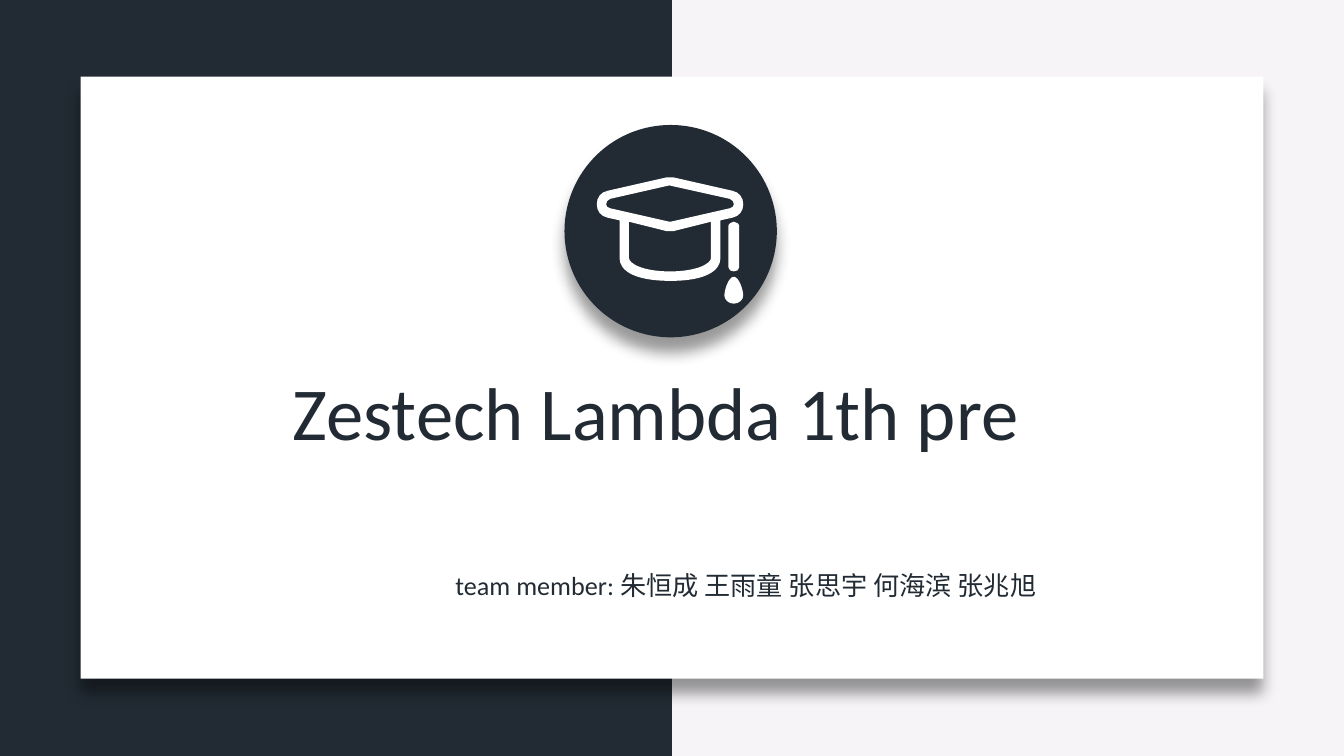
from lxml.etree import SubElement
from pptx import Presentation
from pptx.dml.color import RGBColor
from pptx.enum.shapes import MSO_SHAPE
from pptx.enum.text import MSO_AUTO_SIZE
from pptx.oxml.ns import qn
from pptx.util import Inches, Pt

COLORS = {"ink": "222B34", "paper": "FFFFFF", "backdrop": "F6F4F7", "shadow": "000000"}
SHADOW = {"blurRad": Pt(8), "dist": Pt(8), "dir": 90 * 60000, "algn": "t", "rotWithShape": 0}

CAP_MIRROR = 9.97
CAP_HALVES = [
    [(4.99, 1.65), (4.98, 1.65), (4.54, 1.55),
     (4.52, 1.55, 4.51, 1.53, 4.51, 1.52), (4.51, 1.5, 4.52, 1.49, 4.54, 1.48),
     (4.98, 1.38)],
    [(4.99, 2.02), (4.78, 2.02, 4.68, 1.96, 4.68, 1.92), (4.68, 1.65), (4.96, 1.72),
     (4.97, 1.72, 4.98, 1.72, 4.99, 1.72)],
    [(4.99, 1.32), (4.98, 1.32, 4.97, 1.32, 4.96, 1.32), (4.52, 1.42),
     (4.47, 1.43, 4.44, 1.47, 4.44, 1.52), (4.44, 1.57, 4.47, 1.61, 4.52, 1.62),
     (4.61, 1.64), (4.61, 1.92), (4.61, 2.01, 4.71, 2.09, 4.99, 2.09)],
]
TASSEL_MIRROR = 10.92
CORD_HALVES = [
    [(5.46, 1.65), (5.44, 1.65, 5.42, 1.67, 5.42, 1.68), (5.42, 1.99),
     (5.42, 2.01, 5.44, 2.02, 5.46, 2.02)],
]
DROP_HALVES = [
    [(5.46, 2.06), (5.42, 2.06, 5.39, 2.16, 5.39, 2.2),
     (5.39, 2.23, 5.42, 2.26, 5.46, 2.26)],
]


def color(name):
    return RGBColor.from_string(COLORS[name])


def paint(shape, fill):
    shape.fill.solid()
    shape.fill.fore_color.rgb = color(fill)
    shape.line.fill.background()
    shape.shadow.inherit = False


def add_panel(shapes, kind, box, fill):
    panel = shapes.add_shape(kind, *map(Inches, box))
    paint(panel, fill)
    return panel


def cast_shadow(shape):
    effects = shape._element.spPr.find(qn("a:effectLst"))
    outer = SubElement(effects, qn("a:outerShdw"))
    for key, value in SHADOW.items():
        outer.set(key, str(value))
    tint = SubElement(outer, qn("a:srgbClr"), val=COLORS["shadow"])
    SubElement(tint, qn("a:alpha"), val="40000")


def symmetric_contour(half, mirror):
    points = [segment[i:i + 2] for segment in half for i in range(0, len(segment), 2)]
    points += [(mirror - x, y) for x, y in points[-2::-1]]
    counts = [len(segment) // 2 for segment in half[1:]]
    return [(Inches(x), Inches(y)) for x, y in points], counts + counts[::-1]


def bend_lines(outline, counts):
    lines = iter(list(outline._element.iter(qn("a:lnTo"))))
    for count in counts:
        segment = [next(lines) for _ in range(count)]
        if count == 3:
            segment[0].tag = qn("a:cubicBezTo")
            for line in segment[1:]:
                segment[0].append(line[0])
                line.getparent().remove(line)


def add_symmetric_outline(shapes, halves, mirror, fill):
    contours = [symmetric_contour(half, mirror) for half in halves]
    builder = shapes.build_freeform(*contours[0][0][0], scale=1.0)
    for index, (points, _) in enumerate(contours):
        if index:
            builder.move_to(*points[0])
        builder.add_line_segments(points[1:], close=False)
    outline = builder.convert_to_shape()
    bend_lines(outline, [count for _, counts in contours for count in counts])
    paint(outline, fill)


def add_label(slide, box, text, size):
    frame = slide.shapes.add_textbox(*map(Inches, box)).text_frame
    for key, value in {"word_wrap": False, "auto_size": MSO_AUTO_SIZE.SHAPE_TO_FIT_TEXT}.items():
        setattr(frame, key, value)
    run = frame.paragraphs[0].add_run()
    run.text = text
    for key, value in {"size": Pt(size), "name": "Calibri"}.items():
        setattr(run.font, key, value)
    run.font.color.rgb = color("ink")


def add_graduation_badge(slide):
    badge = slide.shapes.add_group_shape().shapes
    cast_shadow(add_panel(badge, MSO_SHAPE.OVAL, (4.2, 0.93, 1.58, 1.58), "ink"))
    add_symmetric_outline(badge, CAP_HALVES, CAP_MIRROR, "paper")
    for halves in (CORD_HALVES, DROP_HALVES):
        add_symmetric_outline(badge, halves, TASSEL_MIRROR, "paper")


def main():
    deck = Presentation()
    deck.slide_width = Inches(10)
    deck.slide_height = Inches(10 * 9 / 16)
    slide = deck.slides.add_slide(deck.slide_layouts[6])
    slide.background.fill.solid()
    slide.background.fill.fore_color.rgb = color("backdrop")

    add_panel(slide.shapes, MSO_SHAPE.RECTANGLE, (0, 0, 5, 10 * 9 / 16), "ink")
    cast_shadow(add_panel(slide.shapes, MSO_SHAPE.RECTANGLE, (0.6, 0.57, 8.8, 4.48), "paper"))
    add_label(slide, (2.08, 2.67, 6.33, 0.77), "Zestech Lambda 1th pre", 40)
    add_graduation_badge(slide)
    add_label(slide, (3.29, 4.19, 4.65, 0.34),
              "team member: 朱恒成 王雨童 张思宇 何海滨 张兆旭", 14)
    deck.save("out.pptx")


if __name__ == "__main__":
    main()
